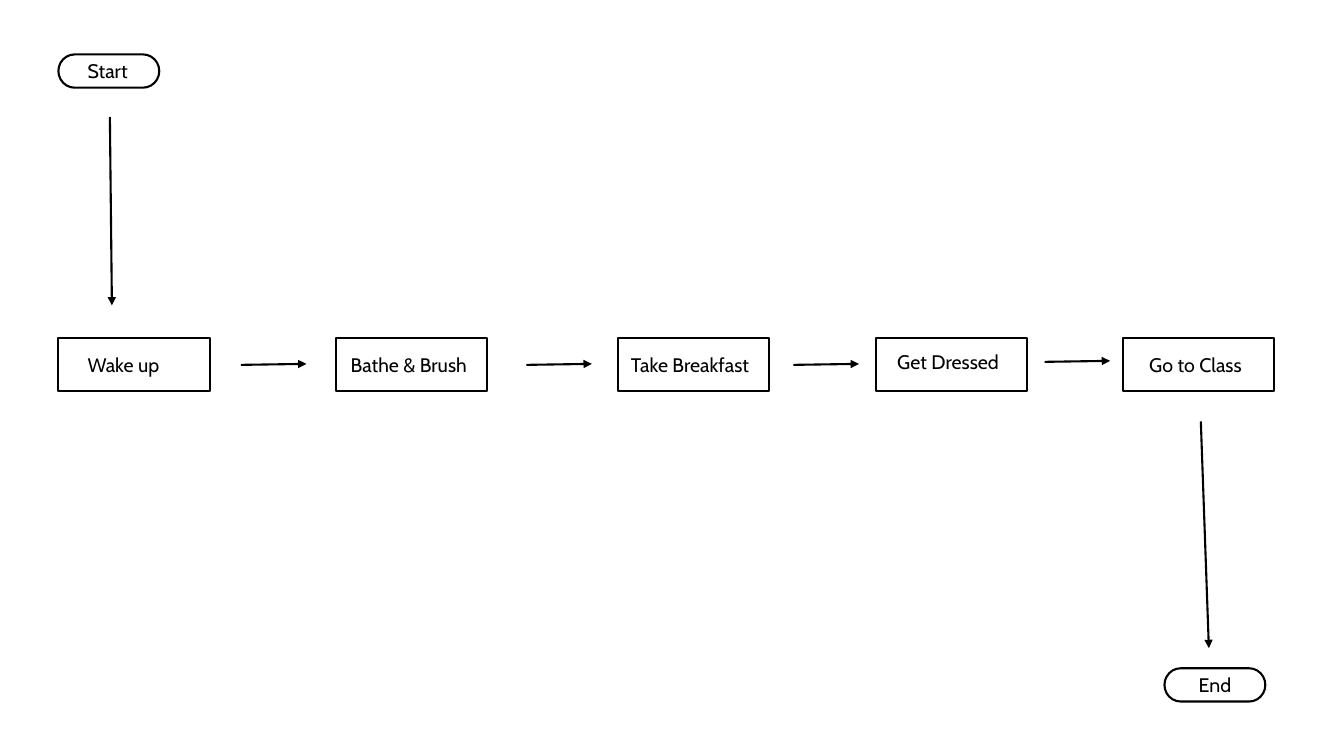
from lxml.etree import SubElement
from pptx import Presentation
from pptx.dml.color import RGBColor
from pptx.enum.shapes import MSO_CONNECTOR, MSO_SHAPE as SHAPE
from pptx.enum.text import MSO_AUTO_SIZE as AUTO
from pptx.oxml.ns import qn
from pptx.util import Inches, Pt

BLACK, WHITE = "000000", "FFFFFF"

prs = Presentation()
prs.slide_width, prs.slide_height = Inches(13.33), Inches(7.5)
s = prs.slides.add_slide(prs.slide_layouts[6])


def grid(*cells):
    """Turn counts of columns and rows into lengths, on a grid 1333 columns wide."""
    return [n * prs.slide_width // 1333 for n in cells]


def paint(color_format, color):
    color_format.rgb = RGBColor.from_string(color)


STEP_TOP = 335
TERMINATOR = (SHAPE.FLOWCHART_TERMINATOR, 100, 33)
PROCESS = (SHAPE.FLOWCHART_PROCESS, 150, 53)

# label, kind, left, top, label offset x, label offset y, label width
nodes = [
    ("Start", TERMINATOR, 58, 54, 19, 0, 94),
    ("Wake up", PROCESS, 58, STEP_TOP, 19, 10, 94),
    ("Bathe & Brush", PROCESS, 333, STEP_TOP, 5, 10, 142),
    ("Take Breakfast", PROCESS, 613, STEP_TOP, 3, 10, 146),
    ("Get Dressed", PROCESS, 869, STEP_TOP, 11, 7, 129),
    ("Go to Class", PROCESS, 1114, STEP_TOP, 16, 10, 130),
    ("End", TERMINATOR, 1155, 663, 24, 0, 94),
]
for label, (kind, width, height), left, top, dx, dy, label_width in nodes:
    sp = s.shapes.add_shape(kind, *grid(left, top, width, height))
    sp.shadow.inherit = False
    sp.fill.solid()
    paint(sp.fill.fore_color, WHITE)
    paint(sp.line.color, BLACK)
    sp.line.width = Pt(1.5)

    box = s.shapes.add_textbox(*grid(left + dx, top + dy, label_width, 34))
    tf = box.text_frame
    tf.word_wrap = True
    tf.auto_size = AUTO.SHAPE_TO_FIT_TEXT
    tf.text = label
    font = tf.paragraphs[0].runs[0].font
    font.name, font.size = "Cabin", Pt(14)
    paint(font.color, BLACK)

# Short arrows between the steps, then the long ones from Start and to End
arrows = [(x, y, x + 65, y - 1) for x, y in
          [(239, 362), (522, 362), (787, 362), (1036, 359)]]
arrows += [(109, 116, 111, 303), (1191, 418, 1199, 643)]
for ends in arrows:
    arrow = s.shapes.add_connector(MSO_CONNECTOR.STRAIGHT, *grid(*ends))
    paint(arrow.line.color, BLACK)
    arrow.line.width = Pt(1.5)
    SubElement(arrow.line._get_or_add_ln(), qn("a:tailEnd"), type="triangle")
    SubElement(arrow._element.spPr, qn("a:effectLst"))

prs.save("out.pptx")
